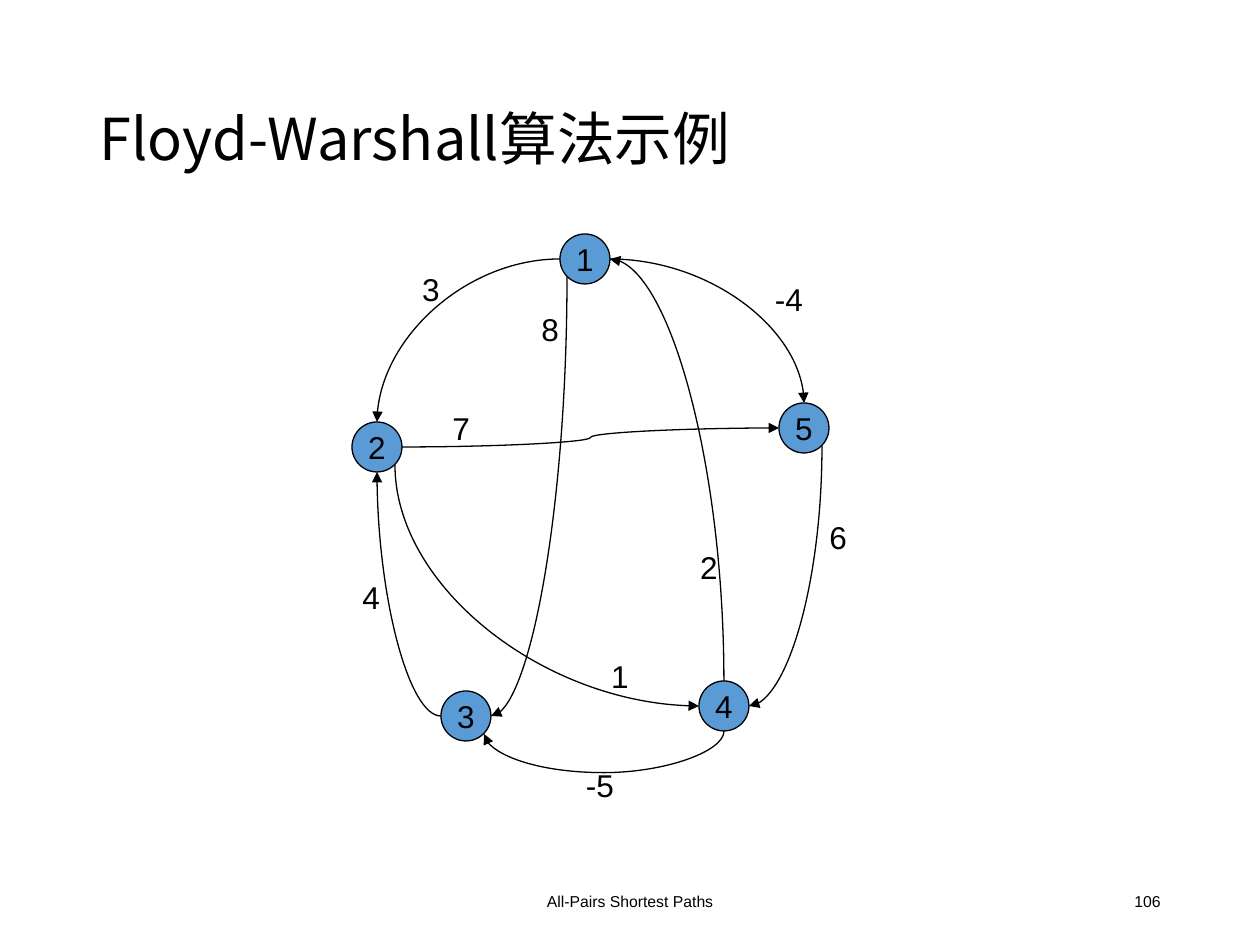
from lxml import etree
from pptx import Presentation, util as u
from pptx.dml.color import RGBColor
from pptx.enum import shapes, text
from pptx.oxml.ns import qn

BLACK = RGBColor(0x00, 0x00, 0x00)
BLUE = RGBColor(0x5B, 0x9B, 0xD5)
WHITE = RGBColor(0xFF, 0xFF, 0xFF)
EMU_PER_PX = 914400 / 126
RADIUS, DIAGONAL = 25, 18
SIDES = {
    "N": (0, -RADIUS), "S": (0, RADIUS), "W": (-RADIUS, 0), "E": (RADIUS, 0),
    "SW": (-DIAGONAL, DIAGONAL), "SE": (DIAGONAL, DIAGONAL),
}

NODES = {"1": (585, 259), "2": (377, 447), "5": (804, 428),
         "3": (466, 716), "4": (724, 706)}
# from node, side, to node, side, weight, left and top of the weight
EDGES = [
    ("1", "W", "2", "N", "3", 372, 264),
    ("1", "SW", "3", "E", "8", 491, 304),
    ("1", "E", "5", "N", "-4", 730, 274),
    ("2", "SE", "4", "W", "1", 561, 651),
    ("2", "E", "5", "W", "7", 402, 403),
    ("3", "W", "2", "S", "4", 312, 572),
    ("4", "N", "1", "E", "2", 650, 542),
    ("4", "S", "3", "SE", "-5", 541, 760),
    ("5", "SE", "4", "E", "6", 779, 512),
]


def px(n):
    return u.Emu(round(n * EMU_PER_PX))


class Deck:
    font, size, line_width = "Arial", 18, u.Pt(0.75)

    def __init__(self, width, height):
        self.prs = Presentation()
        self.prs.slide_width, self.prs.slide_height = px(width), px(height)
        self.s = self.prs.slides.add_slide(self.prs.slide_layouts[5])
        self.s.background.fill.solid()
        self.s.background.fill.fore_color.rgb = WHITE

    def set_text(self, sp, words, size, align, anchor=text.MSO_ANCHOR.MIDDLE, wrap=True):
        tf = sp.text_frame
        tf.text = words
        tf.word_wrap, tf.vertical_anchor = wrap, anchor
        p = tf.paragraphs[0]
        p.alignment = align
        p.font.name, p.font.size = self.font, u.Pt(size)
        p.font.color.rgb = BLACK
        return p

    def title(self, words, x, y, w, h, size, font):
        sp = self.s.shapes.title
        sp.left, sp.top, sp.width, sp.height = map(px, (x, y, w, h))
        p = self.set_text(sp, words, size, text.PP_ALIGN.LEFT)
        sp.text_frame.auto_size = text.MSO_AUTO_SIZE.NONE
        p.line_spacing = 0.9
        r = p.runs[0]
        r.font.name = font
        etree.SubElement(r.font._element, qn("a:ea"), typeface=font)

    def label(self, words, x, y, w, h, size=size, align=text.PP_ALIGN.CENTER,
              anchor=text.MSO_ANCHOR.TOP):
        sp = self.s.shapes.add_textbox(*map(px, (x, y, w, h)))
        self.set_text(sp, words, size, align, anchor)

    def node(self, name, cx, cy):
        sp = self.s.shapes.add_shape(
            shapes.MSO_SHAPE.OVAL, px(cx - RADIUS), px(cy - RADIUS),
            px(2 * RADIUS), px(2 * RADIUS))
        sp.shadow.inherit = False
        sp.fill.solid()
        sp.fill.fore_color.rgb = BLUE
        sp.line.color.rgb, sp.line.width = BLACK, self.line_width
        self.set_text(sp, name, self.size, text.PP_ALIGN.CENTER, wrap=False)

    def edge(self, start, side, end, end_side, sag=42):
        """Curved arrow; sag is how far it dips when both ends face down."""
        (x1, y1), (x2, y2) = (
            [c + d for c, d in zip(NODES[n], SIDES[k])]
            for n, k in ((start, side), (end, end_side)))
        dx, dy = x2 - x1, y2 - y1
        # The preset leaves along its own x axis, so it is turned to fit.
        if side in "EW":
            rot, w, h = (180, -dx, -dy) if dx < 0 else (0, dx, dy)
        else:
            rot, w, h = (270, -dy, dx) if dx > 0 else (90, dy, -dx)
        cx, cy = (x1 + x2) / 2, (y1 + y2) / 2
        c = self.s.shapes.add_connector(
            shapes.MSO_CONNECTOR.CURVE, px(cx - w / 2), px(cy - h / 2),
            px(cx + w / 2), px(cy + h / 2))
        c.line.color.rgb, c.line.width = BLACK, self.line_width
        spPr = c._element.spPr
        if rot:
            spPr.find(qn("a:xfrm")).set("rot", str(rot * 60000))
        geom = spPr.find(qn("a:prstGeom"))
        if (side, end_side) == ("S", "SE"):
            etree.SubElement(geom.find(qn("a:avLst")), qn("a:gd"), name="adj1",
                             fmla=f"val {round(sag / w * 100000)}")
        elif (side, end_side) != ("E", "W"):
            geom.set("prst", "curvedConnector2")
        etree.SubElement(spPr.find(qn("a:ln")), qn("a:tailEnd"), type="triangle")
        etree.SubElement(spPr, qn("a:effectLst"))


def main():
    d = Deck(1260, 945)
    d.title("Floyd-Warshall算法示例", 87, 50, 1086, 183, 33, "Noto Sans CJK SC")
    middle = text.MSO_ANCHOR.MIDDLE
    d.label("All-Pairs Shortest Paths", 417, 876, 426, 50, 9, anchor=middle)
    d.label("106", 890, 876, 283, 50, 9, text.PP_ALIGN.RIGHT, middle)
    for name, centre in NODES.items():
        d.node(name, *centre)
    for *ends, _, _, _ in EDGES:
        d.edge(*ends)
    for *_, weight, x, y in EDGES:
        d.label(weight, x, y, 118, 50)
    d.prs.save("out.pptx")


if __name__ == "__main__":
    main()
